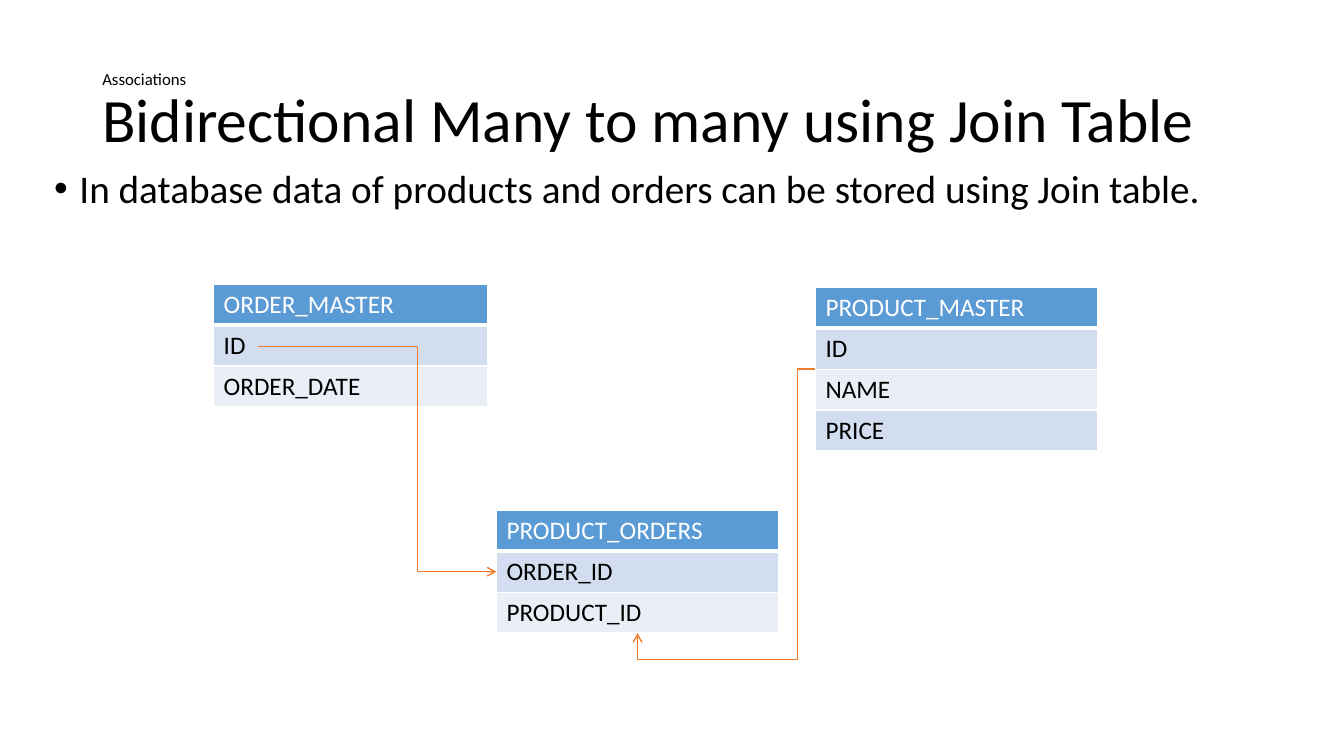
from lxml import etree
from pptx import Presentation
from pptx import util as u
from pptx.dml.color import RGBColor
from pptx.enum import shapes, text
from pptx.oxml import ns

BLACK = RGBColor(0x00, 0x00, 0x00)
WHITE = RGBColor(0xFF, 0xFF, 0xFF)
HEADER_BLUE = RGBColor(0x5B, 0x9B, 0xD5)
ROW_BLUES = (RGBColor(0xD2, 0xDE, 0xEF), RGBColor(0xEA, 0xEF, 0xF7))
ORANGE = RGBColor(0xED, 0x7D, 0x31)

ROW_HEIGHT = 29.2

ENTITIES = [
    ("PRODUCT_MASTER", ["ID", "NAME", "PRICE"], 582.5, 205.3, 201.6),
    ("ORDER_MASTER", ["ID", "ORDER_DATE"], 152.6, 203.1, 195.4),
    ("PRODUCT_ORDERS", ["ORDER_ID", "PRODUCT_ID"], 354.6, 364.6, 201.6),
]


def add_child(parent, tag, **attributes):
    return etree.SubElement(parent, ns.qn(tag), attributes)


def write_text(paragraph, content, *, font, size, color=BLACK):
    run = paragraph.add_run()
    run.text = content
    run.font.name = font
    run.font.size = u.Pt(size)
    run.font.color.rgb = color


def set_borders(cell, bottom):
    """Draw white cell borders, 1 pt wide except for the bottom one."""
    properties = cell._tc.get_or_add_tcPr()
    for side, width in (("L", 1), ("R", 1), ("T", 1), ("B", bottom)):
        line = add_child(properties, f"a:ln{side}", w=str(u.Pt(width)))
        fill = add_child(line, "a:solidFill")
        add_child(fill, "a:srgbClr", val=str(WHITE))


class SlideBuilder:
    def __init__(self, slide, font="Calibri"):
        self.slide = slide
        self.font = font

    def text_box(self, left, top, width, height, anchor):
        """Add an empty wrapped text box and return its first paragraph."""
        box = self.slide.shapes.add_textbox(
            u.Pt(left), u.Pt(top), u.Pt(width), u.Pt(height))
        box.text_frame.word_wrap = True
        box.text_frame.vertical_anchor = anchor
        paragraph = box.text_frame.paragraphs[0]
        paragraph.line_spacing = 0.9
        return paragraph

    def title(self, topic, heading):
        paragraph = self.text_box(66, 28.75, 828, 104.4, text.MSO_ANCHOR.MIDDLE)
        write_text(paragraph, topic, font=self.font, size=12)
        paragraph.add_line_break()
        write_text(paragraph, heading, font=self.font, size=44)

    def bullet(self, content):
        paragraph = self.text_box(31.7, 117.4, 928, 366, text.MSO_ANCHOR.TOP)
        paragraph.space_before = u.Pt(10)
        properties = paragraph._p.get_or_add_pPr()
        properties.set("marL", str(u.Pt(18)))
        properties.set("indent", str(u.Pt(-18)))
        add_child(properties, "a:buFont", typeface="Arial")
        add_child(properties, "a:buChar", char="•")
        write_text(paragraph, content, font=self.font, size=28)

    def entity(self, name, fields, left, top, width):
        """Add a database table: its name as header, then one row per field."""
        labels = [name, *fields]
        table = self.slide.shapes.add_table(
            len(labels), 1, u.Pt(left), u.Pt(top), u.Pt(width),
            u.Pt(ROW_HEIGHT * len(labels))).table
        for index, label in enumerate(labels):
            is_header = index == 0
            table.rows[index].height = u.Pt(ROW_HEIGHT)
            cell = table.cell(index, 0)
            set_borders(cell, bottom=3 if is_header else 1)
            cell.fill.solid()
            cell.fill.fore_color.rgb = (
                HEADER_BLUE if is_header else ROW_BLUES[(index - 1) % 2])
            write_text(cell.text_frame.paragraphs[0], label, font=self.font,
                       size=18, color=WHITE if is_header else BLACK)

    def elbow_arrow(self, start, end, bends):
        """Join two points; bends are fractions of the width, then the height."""
        connector = self.slide.shapes.add_connector(
            shapes.MSO_CONNECTOR.ELBOW, *map(u.Pt, (*start, *end)))
        connector.line.color.rgb = ORANGE
        connector.line.width = u.Pt(1)
        properties = connector._element.spPr
        geometry = properties.find(ns.qn("a:prstGeom"))
        geometry.set("prst", f"bentConnector{len(bends) + 2}")
        adjustments = geometry.find(ns.qn("a:avLst"))
        for number, bend in enumerate(bends, start=1):
            add_child(adjustments, "a:gd", name=f"adj{number}",
                      fmla=f"val {round(bend * 100000)}")
        add_child(properties.find(ns.qn("a:ln")), "a:tailEnd", type="arrow")
        add_child(properties, "a:effectLst")


def main():
    presentation = Presentation()
    presentation.slide_width = u.Pt(960)
    presentation.slide_height = u.Pt(540)
    builder = SlideBuilder(
        presentation.slides.add_slide(presentation.slide_layouts[6]))

    builder.title("Associations", "Bidirectional Many to many using Join Table")
    builder.bullet("In database data of products and orders can be stored "
                   "using Join table.")
    for entity in ENTITIES:
        builder.entity(*entity)
    builder.elbow_arrow((582.5, 263.7), (455.4, 452.2), bends=(0.1, 1.1))
    builder.elbow_arrow((184.4, 247.5), (354.6, 408.4), bends=(0.67,))

    presentation.save("out.pptx")


if __name__ == "__main__":
    main()
